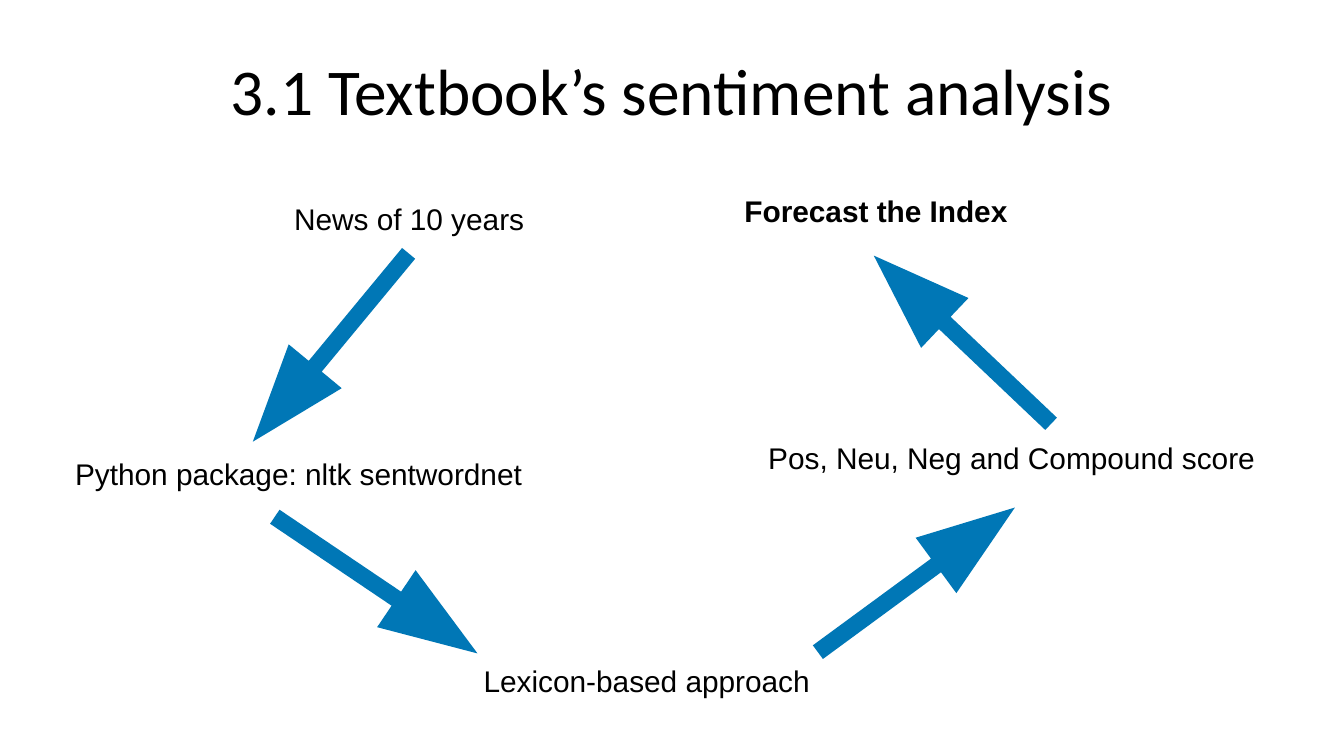
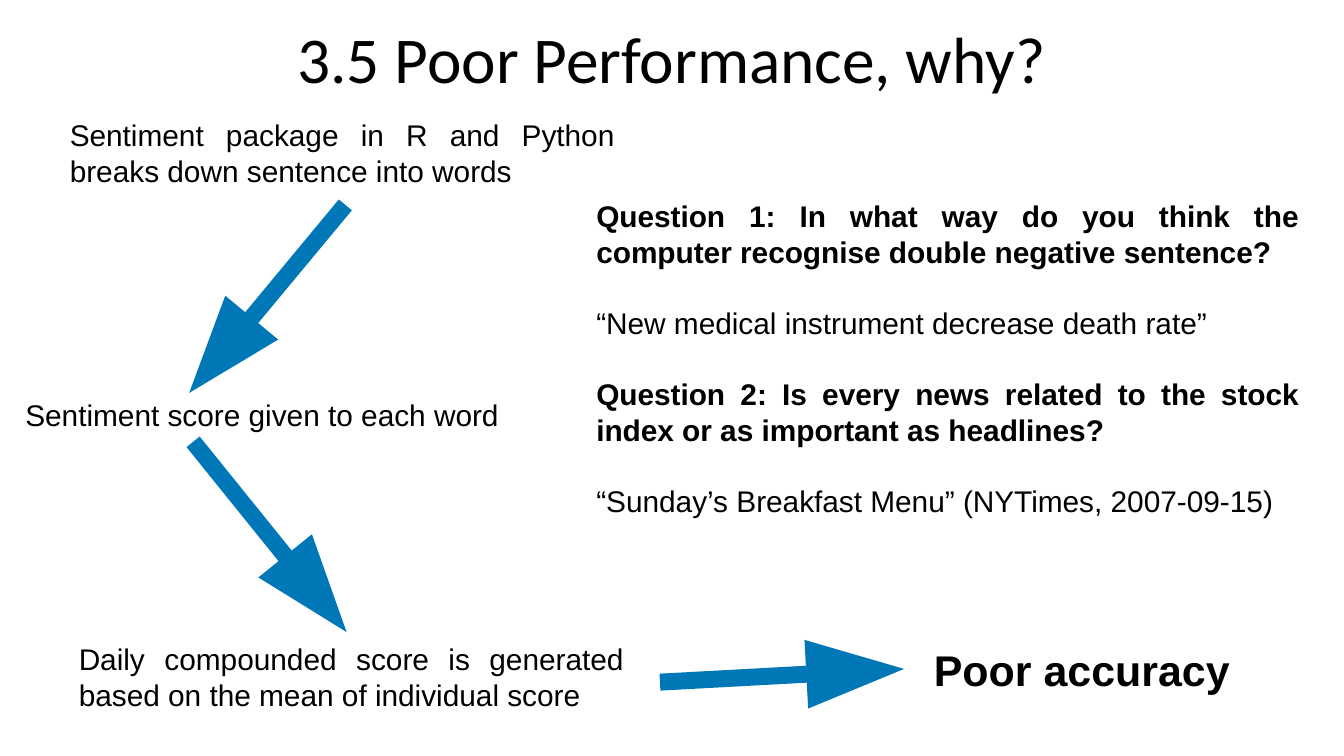
"""Build two sentiment-analysis slides made of text labels and block arrows."""
from dataclasses import dataclass

from pptx import Presentation
from pptx.dml.color import RGBColor
from pptx.enum.text import MSO_ANCHOR, MSO_AUTO_SIZE, PP_ALIGN
from pptx.presentation import Presentation as Deck
from pptx.slide import Slide
from pptx.text.text import _Paragraph as Paragraph
from pptx.util import Cm, Pt


@dataclass(frozen=True)
class Theme:
    black: RGBColor = RGBColor(0x00, 0x00, 0x00)
    white: RGBColor = RGBColor(0xFF, 0xFF, 0xFF)
    blue: RGBColor = RGBColor(0x00, 0x77, 0xB6)
    title_font: str = "Calibri"
    body_font: str = "Arial"
    title_size: int = 35
    body_size: int = 16
    result_size: int = 23
    paragraph_gap: int = 19


THEME = Theme()
SLIDE_WIDTH, SLIDE_HEIGHT = Cm(25.4), Cm(14.29)
TITLE_HEIGHT, TITLE_INSET = Cm(1.42), Cm(0.25)
ARROW_LENGTH, ARROW_HEIGHT = 4.62, 1.3
HEAD_LENGTH, SHAFT_HEIGHT = 1.85, 0.32


@dataclass(frozen=True)
class Line:
    text: str
    bold: bool = False


@dataclass(frozen=True)
class Label:
    left: float
    top: float
    width: float
    height: float
    lines: tuple[Line, ...]
    size: int = THEME.body_size


@dataclass(frozen=True)
class Arrow:
    left: float
    top: float
    angle: float


@dataclass(frozen=True)
class Page:
    title: str
    title_top: float
    labels: tuple[Label, ...]
    arrows: tuple[Arrow, ...]


PAGES = (
    Page(
        "3.1 Textbook’s sentiment analysis",
        0.97,
        (
            Label(5.31, 3.66, 5.49, 0.94, (Line("News of 10 years"),)),
            Label(1.17, 8.48, 9.27, 0.94, (Line("Python package: nltk sentwordnet"),)),
            Label(8.89, 12.4, 7.75, 0.94, (Line("Lexicon-based approach"),)),
            Label(14.27, 8.18, 11.13, 0.94, (Line("Pos, Neu, Neg and Compound score"),)),
            Label(13.82, 3.51, 6.99, 0.94, (Line("Forecast the Index", True),)),
        ),
        (
            Arrow(3.94, 5.92, 129.6),
            Arrow(15.88, 5.77, 223.5),
            Arrow(4.8, 10.41, 34),
            Arrow(15.01, 10.31, 323.7),
        ),
    ),
    Page(
        "3.5 Poor Performance, why?",
        0.38,
        (
            Label(1.07, 2.08, 10.8, 1.63, (
                Line("Sentiment package in R and Python breaks down sentence into words"),
            )),
            Label(0.23, 7.37, 10.8, 0.94, (Line("Sentiment score given to each word"),)),
            Label(1.24, 11.99, 10.8, 1.63, (
                Line("Daily compounded score is generated based on the mean of individual score"),
            )),
            Label(17.4, 12.04, 6.32, 1.24, (Line("Poor accuracy", True),), THEME.result_size),
            Label(11.02, 3.61, 13.79, 6.4, (
                Line("Question 1: In what way do you think the computer recognise "
                     "double negative sentence?", True),
                Line("“New medical instrument decrease death rate”"),
                Line("Question 2: Is every news related to the stock index or as "
                     "important as headlines?", True),
                Line("“Sunday’s Breakfast Menu” (NYTimes, 2007-09-15)"),
            )),
        ),
        (
            Arrow(2.74, 5, 129.7),
            Arrow(2.79, 9.5, 51.1),
            Arrow(12.47, 12.12, 356.9),
        ),
    ),
)


def format_runs(p: Paragraph, font: str, size: int, bold: bool = False) -> None:
    for r in p.runs:
        r.font.name = font
        r.font.size = Pt(size)
        r.font.bold = bold
        r.font.color.rgb = THEME.black


def set_title(s: Slide, text: str, top: float) -> None:
    sp = s.shapes.title
    sp.left, sp.top, sp.width, sp.height = 0, Cm(top), SLIDE_WIDTH, TITLE_HEIGHT
    tf = sp.text_frame
    tf.text = text
    tf.auto_size = MSO_AUTO_SIZE.NONE
    tf.vertical_anchor = MSO_ANCHOR.MIDDLE
    tf.margin_left = tf.margin_right = tf.margin_top = tf.margin_bottom = TITLE_INSET
    p = tf.paragraphs[0]
    p.alignment = PP_ALIGN.CENTER
    format_runs(p, THEME.title_font, THEME.title_size)


def add_label(s: Slide, label: Label) -> None:
    sp = s.shapes.add_textbox(
        Cm(label.left), Cm(label.top), Cm(label.width), Cm(label.height)
    )
    tf = sp.text_frame
    tf.word_wrap = True
    tf.auto_size = MSO_AUTO_SIZE.SHAPE_TO_FIT_TEXT
    for i, line in enumerate(label.lines):
        p = tf.add_paragraph() if i else tf.paragraphs[0]
        p.text = line.text
        p.alignment = PP_ALIGN.JUSTIFY
        if i:
            p.space_before = Pt(THEME.paragraph_gap)
        format_runs(p, THEME.body_font, label.size, line.bold)


def add_arrow(s: Slide, arrow: Arrow) -> None:
    neck = ARROW_LENGTH - HEAD_LENGTH
    shaft_top = (ARROW_HEIGHT - SHAFT_HEIGHT) / 2
    shaft_bottom = shaft_top + SHAFT_HEIGHT
    outline = [
        (Cm(x), Cm(y))
        for x, y in (
            (0, shaft_top),
            (neck, shaft_top),
            (neck, 0),
            (ARROW_LENGTH, ARROW_HEIGHT / 2),
            (neck, ARROW_HEIGHT),
            (neck, shaft_bottom),
            (0, shaft_bottom),
        )
    ]
    builder = s.shapes.build_freeform(*outline[0])
    builder.add_line_segments(outline[1:], close=True)
    sp = builder.convert_to_shape(Cm(arrow.left), Cm(arrow.top))
    sp.rotation = arrow.angle
    sp.shadow.inherit = False
    sp.fill.solid()
    sp.fill.fore_color.rgb = THEME.blue
    sp.line.fill.background()


def add_page(prs: Deck, page: Page) -> None:
    s = prs.slides.add_slide(prs.slide_layouts.get_by_name("Title Only"))
    s.background.fill.solid()
    s.background.fill.fore_color.rgb = THEME.white
    set_title(s, page.title, page.title_top)
    for label in page.labels:
        add_label(s, label)
    for arrow in page.arrows:
        add_arrow(s, arrow)


def main() -> None:
    prs = Presentation()
    prs.slide_width, prs.slide_height = SLIDE_WIDTH, SLIDE_HEIGHT
    for page in PAGES:
        add_page(prs, page)
    prs.save("out.pptx")


if __name__ == "__main__":
    main()
